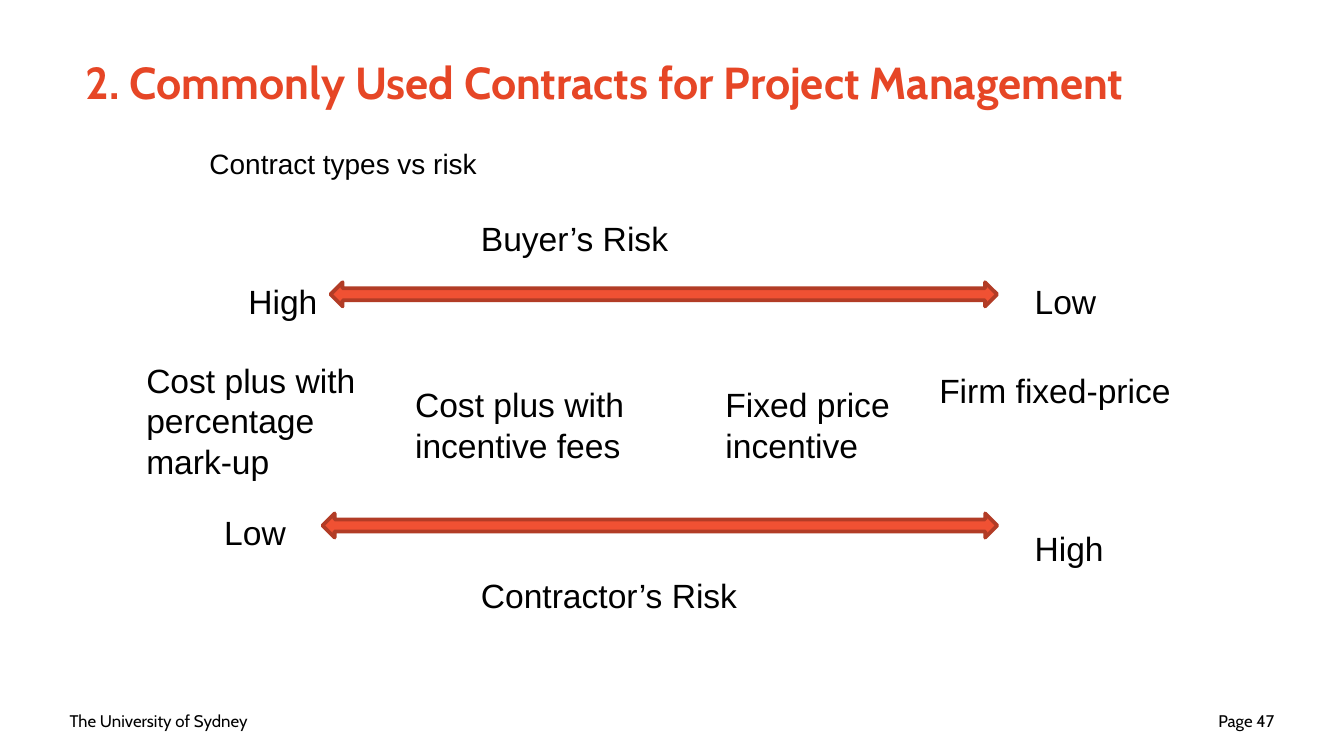
from pptx import Presentation
from pptx.dml.color import RGBColor as RGB
from pptx.enum.shapes import MSO_SHAPE as Shape
from pptx.enum.text import MSO_ANCHOR as Anchor, PP_ALIGN as Align
from pptx.util import Inches, Pt

BLACK = RGB(0, 0, 0)
TITLE = RGB(0xE6, 0x46, 0x26)
FILL = RGB(0xF0, 0x51, 0x33)
EDGE = RGB(0xB2, 0x3C, 0x26)


def add_text(slide, box, text, size=18, font="Arial", color=BLACK,
             bold=False, align=Align.LEFT, anchor=Anchor.TOP):
    """Add one wrapped paragraph in the given box."""
    frame = slide.shapes.add_textbox(*map(Inches, box)).text_frame
    frame.word_wrap = True
    frame.vertical_anchor = anchor
    frame.text = text
    para = frame.paragraphs[0]
    para.alignment = align
    face = para.runs[0].font
    face.name, face.size, face.bold = font, Pt(size), bold
    face.color.rgb = color


def add_arrow(slide, box):
    """Add a double-headed block arrow."""
    arrow = slide.shapes.add_shape(Shape.LEFT_RIGHT_ARROW, *map(Inches, box))
    arrow.shadow.inherit = False
    arrow.fill.solid()
    arrow.fill.fore_color.rgb = FILL
    arrow.line.color.rgb = EDGE
    arrow.line.width = Pt(2)


def add_header(slide, box):
    """Add the title and the subtitle below it."""
    left, top, width, height = box
    add_text(slide, (left, top, width, 0.52),
             "2. Commonly Used Contracts for Project Management",
             24, "Cabin", TITLE, True, anchor=Anchor.MIDDLE)
    add_text(slide, (left + 0.92, top + height - 0.4, width - 0.91, 0.4),
             "Contract types vs risk", 15)


def add_scale(slide, box, name, start, end):
    """Add a risk arrow with its name and two end labels at given offsets."""
    left, top, width, height = box
    add_arrow(slide, box)
    for text, x, y, wide in (name, start, end):
        add_text(slide, (left + x, top + y, wide, 0.4), text)


def add_types(slide, box):
    """Add the contract types between the two risk arrows."""
    left, top, width, height = box
    types = (
        ("Cost plus with percentage mark-up", 0, 0, 2, height),
        ("Cost plus with incentive fees", 2, 0.18, 1.77, 0.71),
        ("Fixed price incentive", 4.31, 0.18, 1.47, 0.71),
        ("Firm fixed-price", width - 2.12, 0.07, 2.12, 0.4),
    )
    for text, x, y, wide, high in types:
        add_text(slide, (left + x, top + y, wide, high), text)


def add_footer(slide, box):
    """Add the university name on the left and the page on the right."""
    left, top, width, height = box
    wide = 2.33
    for text, x, align in (("The University of Sydney", left, Align.LEFT),
                           ("Page 47", left + width - wide, Align.RIGHT)):
        add_text(slide, (x, top, wide, height), text, 9, "Cabin",
                 align=align, anchor=Anchor.MIDDLE)


def main():
    """Build the contract risk slide."""
    deck = Presentation()
    deck.slide_width, deck.slide_height = Inches(10), Inches(10 * 9 / 16)
    slide = deck.slides.add_slide(deck.slide_layouts[6])
    add_footer(slide, (0.42, 5.21, 9.16, 0.3))
    add_header(slide, (0.54, 0.35, 8.02, 1.09))
    add_scale(slide, (2.46, 2.1, 4.96, 0.18),
              ("Buyer’s Risk", 1.02, -0.53, 2.17),
              ("High", -0.71, -0.06, 0.77), ("Low", 5.14, -0.06, 0.77))
    add_scale(slide, (2.4, 3.82, 5.02, 0.18),
              ("Contractor’s Risk", 1.08, 0.41, 2.17),
              ("Low", -0.83, -0.06, 0.77), ("High", 5.2, 0.06, 0.77))
    add_types(slide, (0.99, 2.63, 8.02, 1.01))
    deck.save("out.pptx")


if __name__ == "__main__":
    main()
